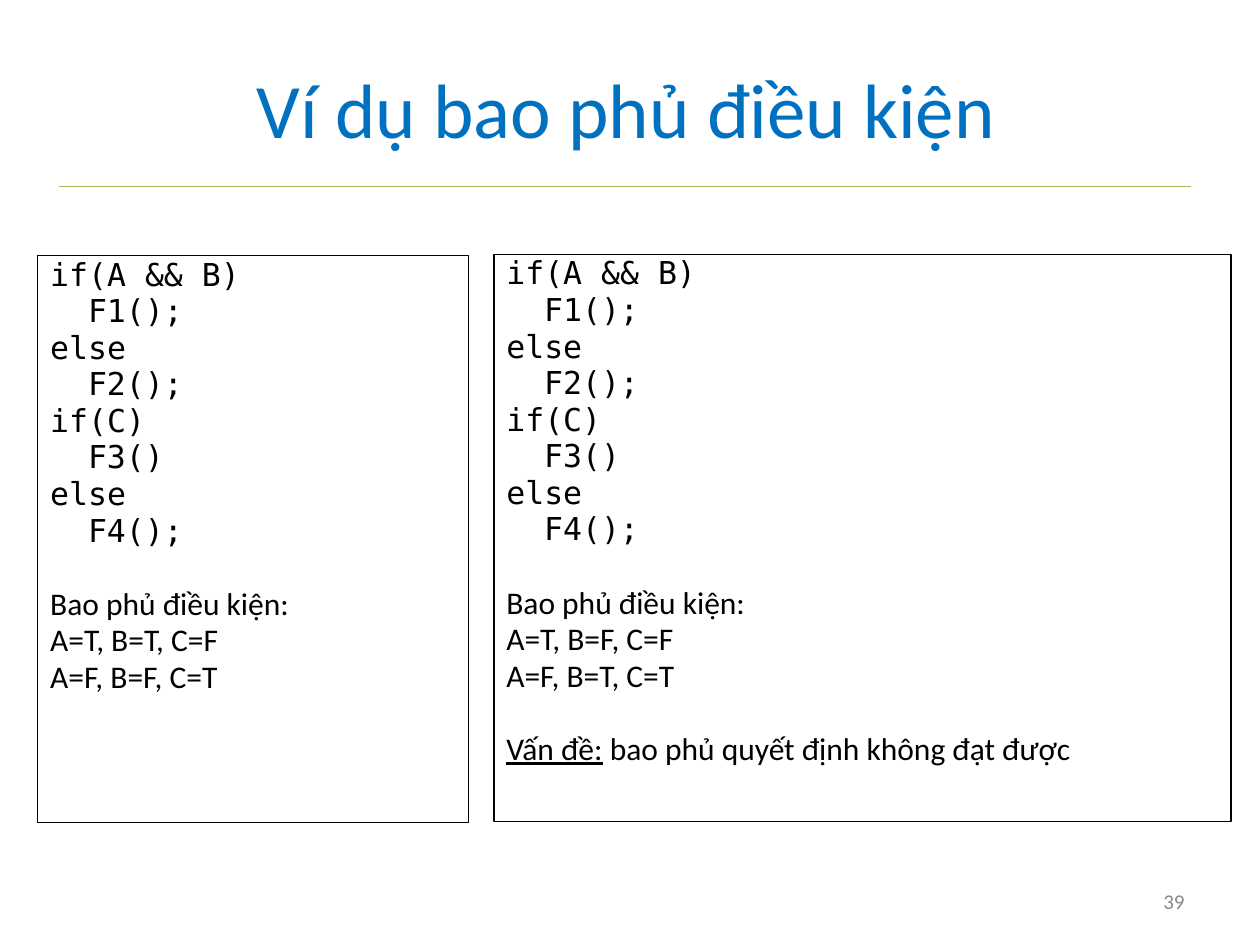
from dataclasses import dataclass

from lxml.etree import SubElement
from pptx import Presentation
from pptx.dml.color import RGBColor
from pptx.enum.shapes import MSO_CONNECTOR, MSO_SHAPE
from pptx.enum.text import MSO_ANCHOR, PP_ALIGN
from pptx.oxml.ns import qn
from pptx.util import Inches, Pt

BLACK = RGBColor(0x00, 0x00, 0x00)
BLUE = RGBColor(0x00, 0x70, 0xC0)
GREEN = RGBColor(0x9B, 0xBB, 0x59)
GRAY = RGBColor(0x88, 0x88, 0x88)

BODY_FONT = "Calibri"
CODE_FONT = "DejaVu Sans Mono"
HANGING = Inches(0.38)
CODE_INDENT = Inches(0.3)
LINE_GAP = Pt(3.6)
SECTION_GAP = Pt(24.6)


@dataclass
class Line:
    text: str
    font: str = BODY_FONT
    indented: bool = False
    space_before: Pt = LINE_GAP
    underlined: str = ""


@dataclass
class Panel:
    left: float
    top: float
    width: float
    height: float
    lines: list[Line]


@dataclass
class Label:
    left: float
    top: float
    width: float
    height: float
    text: str
    alignment: PP_ALIGN
    format: dict


CODE = [
    Line("if(A && B)", CODE_FONT, space_before=Pt(0)),
    Line("F1();", CODE_FONT, indented=True),
    Line("else", CODE_FONT),
    Line("F2();", CODE_FONT, indented=True),
    Line("if(C)", CODE_FONT),
    Line("F3()", CODE_FONT, indented=True),
    Line("else", CODE_FONT),
    Line("F4();", CODE_FONT, indented=True),
    Line("Bao phủ điều kiện:", space_before=SECTION_GAP),
]

PANELS = [
    Panel(3.92, 2.02, 5.85, 4.5, CODE + [
        Line("A=T, B=F, C=F"),
        Line("A=F, B=T, C=T"),
        Line(" bao phủ quyết định không đạt được",
             space_before=SECTION_GAP, underlined="Vấn đề:"),
    ]),
    Panel(0.3, 2.03, 3.42, 4.5, CODE + [
        Line("A=T, B=T, C=F"),
        Line("A=F, B=F, C=T"),
    ]),
]

LABELS = [
    Label(0.47, 0.23, 9, 1.25, "Ví dụ bao phủ điều kiện", PP_ALIGN.CENTER,
          {"size": Pt(44), "color": BLUE}),
    Label(7.17, 6.95, 2.33, 0.4, "39", PP_ALIGN.RIGHT,
          {"size": Pt(12), "color": GRAY}),
]


def add_run(paragraph, text: str, **format_values) -> None:
    run = paragraph.add_run()
    run.text = text
    run.font.color.rgb = format_values.pop("color", BLACK)
    for name, value in ({"name": BODY_FONT, "size": Pt(18)} | format_values).items():
        setattr(run.font, name, value)


def add_label(slide, label: Label) -> None:
    shape = slide.shapes.add_textbox(
        Inches(label.left), Inches(label.top), Inches(label.width), Inches(label.height))
    frame = shape.text_frame
    frame.word_wrap = True
    frame.vertical_anchor = MSO_ANCHOR.MIDDLE
    paragraph = frame.paragraphs[0]
    paragraph.alignment = label.alignment
    add_run(paragraph, label.text, **label.format)


def add_line(paragraph, line: Line) -> None:
    values = {"alignment": PP_ALIGN.LEFT, "line_spacing": 0.8,
              "space_before": line.space_before}
    for name, value in values.items():
        setattr(paragraph, name, value)
    properties = paragraph._p.get_or_add_pPr()
    margin = HANGING + (CODE_INDENT if line.indented else 0)
    properties.set("marL", str(margin))
    properties.set("indent", str(-HANGING))
    if line.underlined:
        add_run(paragraph, line.underlined, underline=True)
    add_run(paragraph, line.text, name=line.font)


def add_panel(slide, panel: Panel) -> None:
    shape = slide.shapes.add_shape(
        MSO_SHAPE.RECTANGLE, Inches(panel.left), Inches(panel.top),
        Inches(panel.width), Inches(panel.height))
    shape.shadow.inherit = False
    shape.fill.background()
    shape.line.color.rgb = BLACK
    shape.line.width = Pt(0.75)
    frame = shape.text_frame
    frame.word_wrap = True
    frame.vertical_anchor = MSO_ANCHOR.TOP
    for index, line in enumerate(panel.lines):
        add_line(frame.add_paragraph() if index else frame.paragraphs[0], line)


def add_rule(slide, left: float, right: float, top: float) -> None:
    connector = slide.shapes.add_connector(
        MSO_CONNECTOR.STRAIGHT, Inches(left), Inches(top), Inches(right), Inches(top))
    connector.line.color.rgb = GREEN
    connector.line.width = Pt(0.75)
    SubElement(connector._element.spPr, qn("a:effectLst"))


def main() -> None:
    presentation = Presentation()
    presentation.slide_width = Inches(10)
    presentation.slide_height = Inches(7.5)
    slide = presentation.slides.add_slide(presentation.slide_layouts[6])

    # Rule below the title
    add_rule(slide, 0.47, 9.45, 1.48)

    # Title and page number
    for label in LABELS:
        add_label(slide, label)

    # Code examples with their test cases
    for panel in PANELS:
        add_panel(slide, panel)

    presentation.save("out.pptx")


if __name__ == "__main__":
    main()
